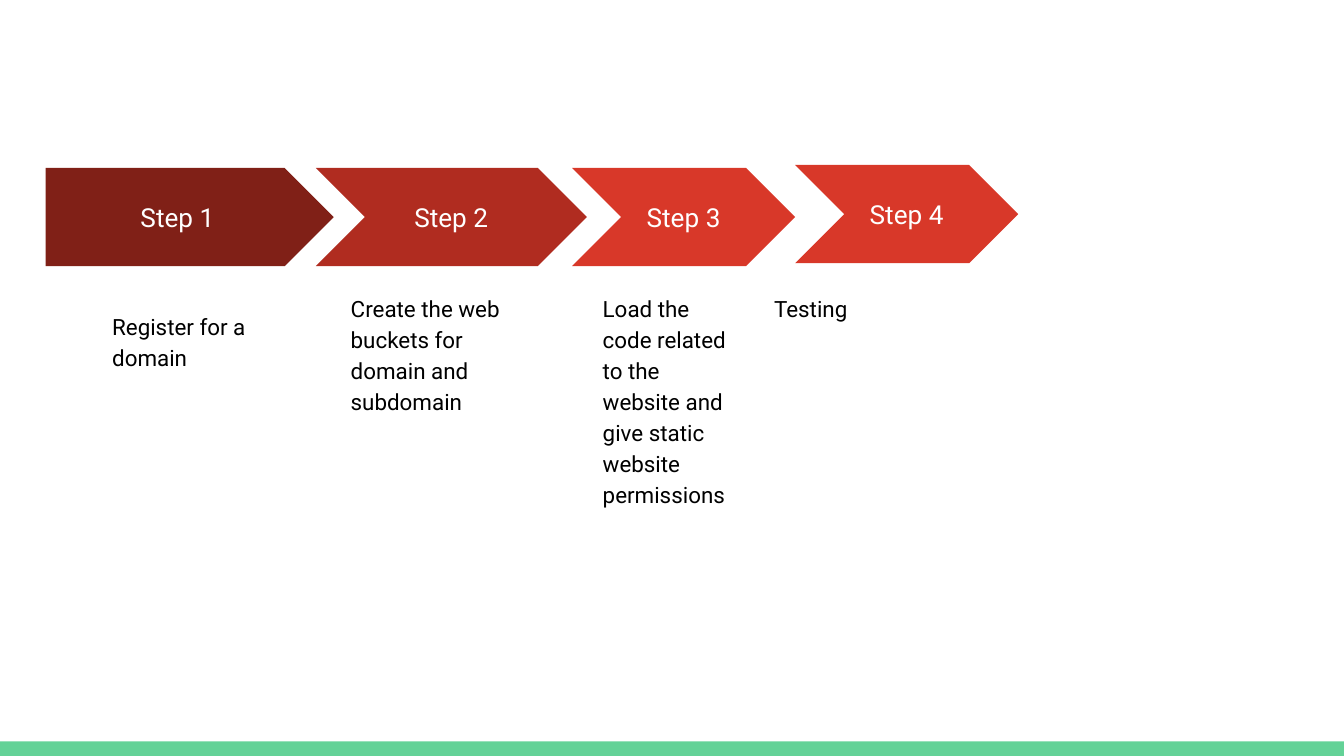
from dataclasses import dataclass

from pptx import Presentation
from pptx import util as u
from pptx.dml.color import RGBColor
from pptx.enum import shapes, text

COLOURS = {
    "dark": "802017",
    "mid": "B02C20",
    "bright": "D83829",
    "bar": "63D297",
    "white": "FFFFFF",
    "black": "000000",
}
FONT = "Roboto"
SLIDE_WIDTH, SLIDE_HEIGHT = 720, 405
BAR_HEIGHT = 7.8
ARROW_HEIGHT = 52.6
NOTE_HEIGHT = 206
INSET = 7.2
PENTAGON = shapes.MSO_SHAPE.PENTAGON
CHEVRON = shapes.MSO_SHAPE.CHEVRON


@dataclass
class Step:
    title: str
    note: str
    colour: str
    arrow_left: float
    arrow_width: float
    note_left: float
    note_width: float
    arrow_top: float = 90
    note_top: float = 149
    outline: shapes.MSO_SHAPE = CHEVRON


STEPS = [
    Step("Step 1", "Register for a domain", "dark",
         24.5, 154.3, 53, 97.2, note_top=158.2, outline=PENTAGON),
    Step("Step 2", "Create the web buckets for domain and subdomain", "mid",
         169.2, 145.2, 180.8, 98),
    Step("Step 3", "Load the code related to the website and give static "
         "website permissions", "bright", 306.5, 119.5, 315.8, 80.6),
    Step("Step 4", "Testing", "bright",
         426, 119.5, 407.6, 80.6, arrow_top=88.4),
]


def set_all(target, values: dict) -> None:
    for name, value in values.items():
        setattr(target, name, value)


def rgb(colour: str) -> RGBColor:
    return RGBColor.from_string(COLOURS[colour])


def add_block(parent, outline, colour: str, *bounds: float):
    """Add a plain filled shape without line or shadow."""
    block = parent.add_shape(outline, *map(u.Pt, bounds))
    block.shadow.inherit = False
    block.fill.solid()
    block.fill.fore_color.rgb = rgb(colour)
    block.line.fill.background()
    return block


def write(box, words: str, size: float, colour: str, anchor, layout: dict) -> None:
    """Put one paragraph into a box."""
    frame = box.text_frame
    margins = {f"margin_{side}": u.Pt(INSET)
               for side in ("left", "top", "right", "bottom")}
    set_all(frame, {"word_wrap": True, "auto_size": text.MSO_AUTO_SIZE.NONE,
                    "vertical_anchor": anchor, **margins})
    para = frame.paragraphs[0]
    set_all(para, layout)
    span = para.add_run()
    span.text = words
    set_all(span.font, {"name": FONT, "size": u.Pt(size)})
    span.font.color.rgb = rgb(colour)


def draw_step(page, step: Step) -> None:
    """Draw an arrow with its note as one group."""
    group = page.shapes.add_group_shape().shapes
    arrow = add_block(group, step.outline, step.colour, step.arrow_left,
                      step.arrow_top, step.arrow_width, ARROW_HEIGHT)
    arrow.adjustments[0] = 0.5
    write(arrow, step.title, 14, "white", text.MSO_ANCHOR.MIDDLE,
          {"alignment": text.PP_ALIGN.CENTER})
    note = group.add_textbox(*map(u.Pt, (step.note_left, step.note_top,
                                         step.note_width, NOTE_HEIGHT)))
    write(note, step.note, 12, "black", text.MSO_ANCHOR.TOP,
          {"alignment": text.PP_ALIGN.LEFT, "line_spacing": 1.15})


def main() -> None:
    deck = Presentation()
    set_all(deck, {"slide_width": u.Pt(SLIDE_WIDTH),
                   "slide_height": u.Pt(SLIDE_HEIGHT)})
    page = deck.slides.add_slide(deck.slide_layouts[6])

    # Background and bottom bar
    page.background.fill.solid()
    page.background.fill.fore_color.rgb = rgb("white")
    add_block(page.shapes, shapes.MSO_SHAPE.RECTANGLE, "bar",
              0, SLIDE_HEIGHT - BAR_HEIGHT, SLIDE_WIDTH, BAR_HEIGHT)

    # Process steps
    for step in STEPS:
        draw_step(page, step)

    deck.save("out.pptx")


if __name__ == "__main__":
    main()
